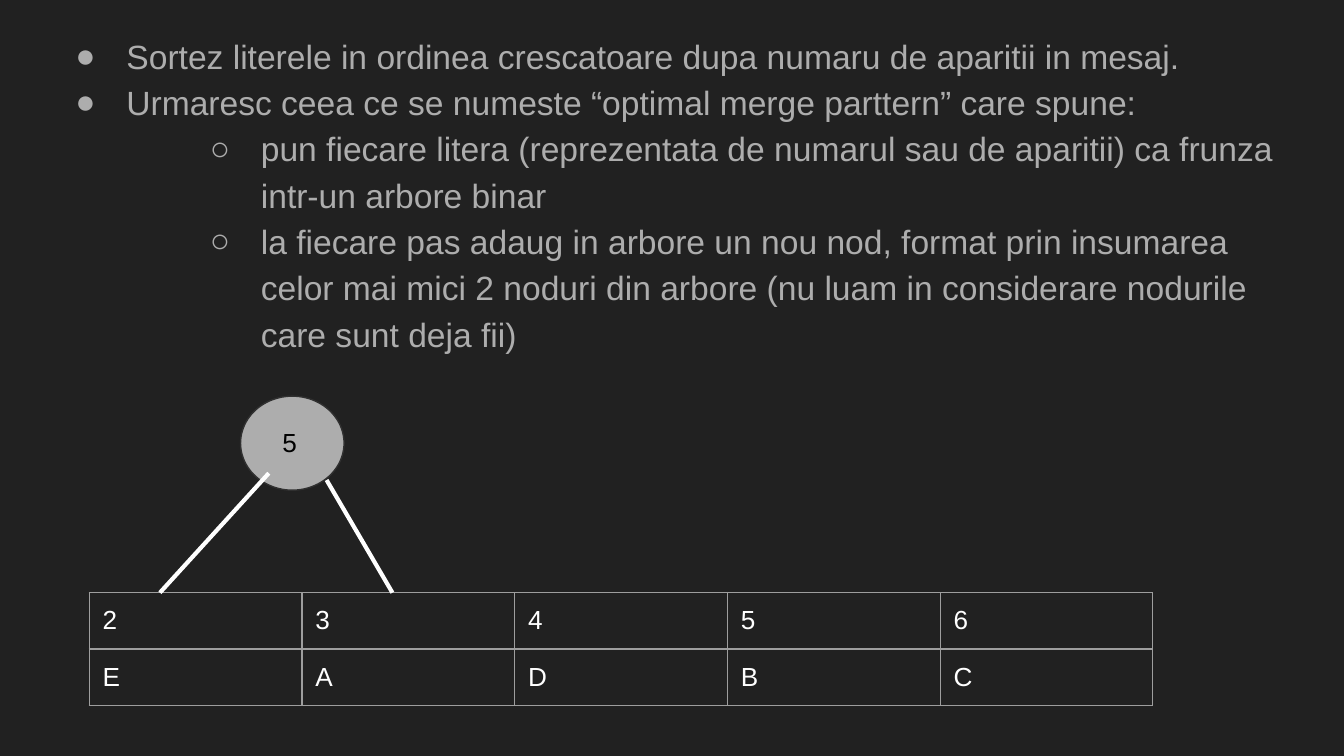
from lxml.etree import SubElement
from pptx import Presentation
from pptx.dml.color import RGBColor
from pptx.enum.shapes import MSO_CONNECTOR, MSO_SHAPE
from pptx.enum.text import MSO_ANCHOR, MSO_AUTO_SIZE, PP_ALIGN
from pptx.oxml.ns import qn
from pptx.util import Inches, Pt

THEME = {
    "background": RGBColor.from_string("212121"),
    "muted": RGBColor.from_string("ADADAD"),
    "node_line": RGBColor.from_string("303030"),
    "grid_line": RGBColor.from_string("9E9E9E"),
    "light": RGBColor.from_string("FFFFFF"),
    "dark": RGBColor.from_string("000000"),
    "font": "Arial",
    "body_size": Pt(18),
    "label_size": Pt(14),
}
INSET = Inches(0.1)

STEPS = [
    (0, "Sortez literele in ordinea crescatoare dupa numaru de aparitii in mesaj."),
    (0, "Urmaresc ceea ce se numeste “optimal merge parttern” care spune:"),
    (1, "pun fiecare litera (reprezentata de numarul sau de aparitii) ca frunza "
        "intr-un arbore binar"),
    (1, "la fiecare pas adaug in arbore un nou nod, format prin insumarea celor mai "
        "mici 2 noduri din arbore (nu luam in considerare nodurile care sunt deja fii)"),
]
BULLETS = [("●", 0.5), ("○", 1.5)]
LEAVES = ["23456", "EADBC"]

prs = Presentation()
prs.slide_width = Inches(10)
prs.slide_height = prs.slide_width * 9 // 16


def grid(*lengths):
    """Turn alternating horizontal and vertical percentages of the slide into EMU."""
    sides = (prs.slide_width, prs.slide_height)
    return [round(sides[i % 2] * share / 100) for i, share in enumerate(lengths)]


def style(paragraph, size, color):
    for run in paragraph.runs:
        run.font.name = THEME["font"]
        run.font.size = size
        run.font.color.rgb = color


slide = prs.slides.add_slide(prs.slide_layouts[1])
slide.background.fill.solid()
slide.background.fill.fore_color.rgb = THEME["background"]
title = slide.shapes.title.element
title.getparent().remove(title)

# Algorithm steps
steps = slide.placeholders[1]
steps.left, steps.top, steps.width, steps.height = grid(3.41, 2.13, 93.2, 86.93)
steps_frame = steps.text_frame
steps_frame.word_wrap = True
steps_frame.auto_size = MSO_AUTO_SIZE.NONE
steps_frame.vertical_anchor = MSO_ANCHOR.TOP
steps_frame.margin_left = steps_frame.margin_right = INSET
steps_frame.margin_top = steps_frame.margin_bottom = INSET
steps_frame.text = "\n".join(text for _, text in STEPS)
for paragraph, (level, _) in zip(steps_frame.paragraphs, STEPS):
    bullet, indent = BULLETS[level]
    paragraph.level = level
    paragraph.line_spacing = 1.15
    paragraph.space_before = paragraph.space_after = Pt(0)
    properties = paragraph._p.get_or_add_pPr()
    properties.set("marL", str(Inches(indent)))
    properties.set("indent", str(Inches(-0.38)))
    bullet_color = SubElement(properties, qn("a:buClr"))
    SubElement(bullet_color, qn("a:srgbClr"), val=str(THEME["muted"]))
    SubElement(properties, qn("a:buFont"), typeface=THEME["font"])
    SubElement(properties, qn("a:buChar"), char=bullet)
    style(paragraph, THEME["body_size"], THEME["muted"])

# Leaves: frequencies above letters
leaves = slide.shapes.add_table(
    len(LEAVES), len(LEAVES[0]), *grid(6.64, 78.4, 79.15, 14.93)).table
leaves.first_row = leaves.horz_banding = False
for row, values in enumerate(LEAVES):
    for column, value in enumerate(values):
        cell = leaves.cell(row, column)
        cell.text = value
        cell.margin_left = cell.margin_right = INSET
        cell.margin_top = cell.margin_bottom = INSET
        style(cell.text_frame.paragraphs[0], THEME["label_size"], THEME["light"])
        cell_properties = cell._tc.get_or_add_tcPr()
        for side in ("lnL", "lnR", "lnT", "lnB"):
            border = SubElement(cell_properties, qn(f"a:{side}"), w=str(Pt(0.75)))
            border_fill = SubElement(border, qn("a:solidFill"))
            SubElement(border_fill, qn("a:srgbClr"), val=str(THEME["grid_line"]))
        cell.fill.background()

# Parent node and its sum
node = slide.shapes.add_shape(MSO_SHAPE.OVAL, *grid(17.9, 52.4, 7.7, 12.44))
node.shadow.inherit = False
node.fill.solid()
node.fill.fore_color.rgb = THEME["muted"]
node.line.color.rgb = THEME["node_line"]
node.line.width = Pt(0.75)

node_sum = slide.shapes.add_textbox(*grid(20.03, 54.63, 77.8, 16.18)).text_frame
node_sum.word_wrap = True
node_sum.margin_left = node_sum.margin_right = INSET
node_sum.margin_top = node_sum.margin_bottom = INSET
node_sum.text = "5"
node_sum.paragraphs[0].alignment = PP_ALIGN.LEFT
style(node_sum.paragraphs[0], THEME["label_size"], THEME["dark"])

# Branches from the node to its two leaves
for ends in [(20, 62.6, 11.9, 78.4), (24.3, 63.5, 29.2, 78.4)]:
    branch = slide.shapes.add_connector(MSO_CONNECTOR.STRAIGHT, *grid(*ends))
    branch.line.color.rgb = THEME["light"]
    branch.line.width = Pt(2.25)
    SubElement(branch.element.spPr, qn("a:effectLst"))

prs.save("out.pptx")
